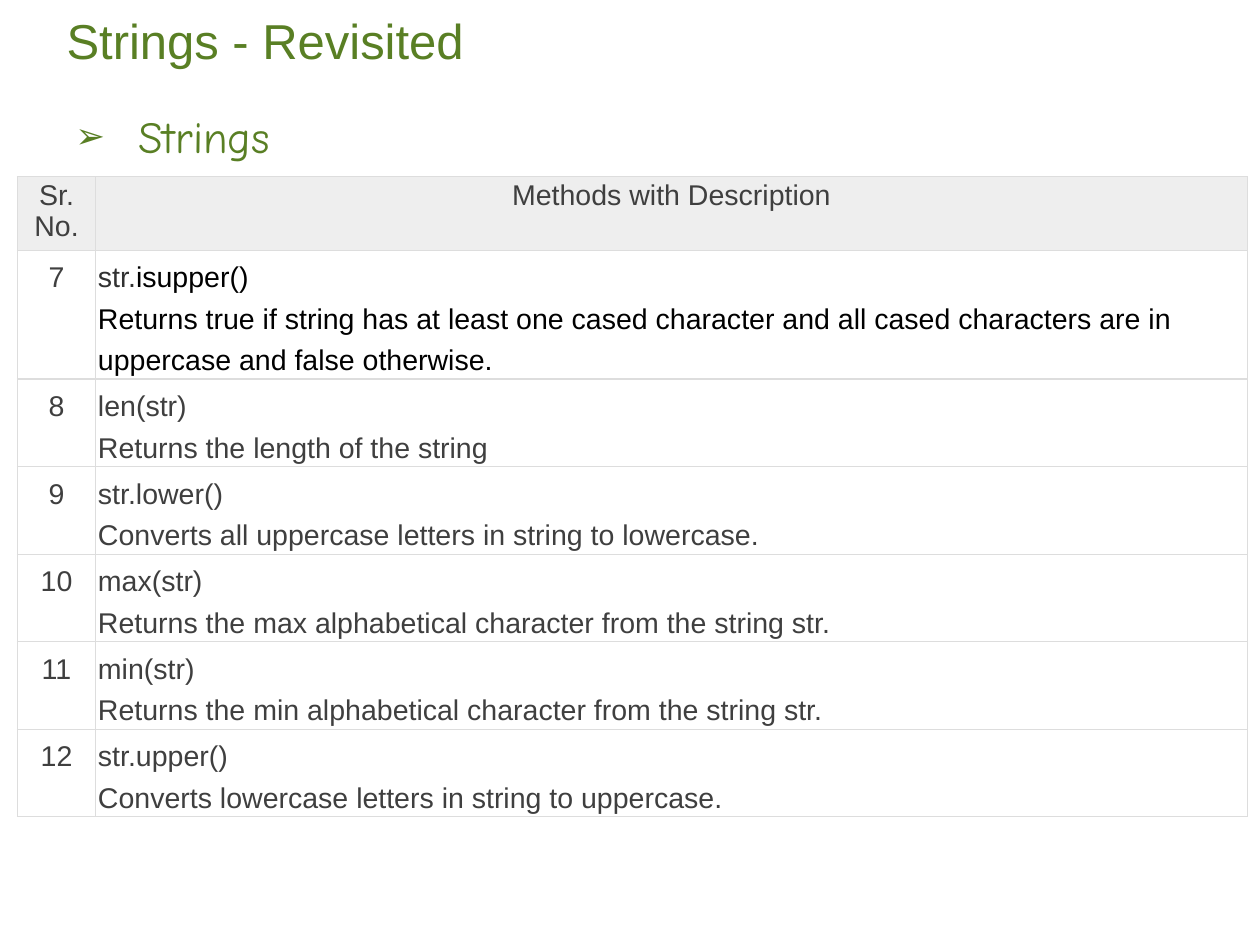
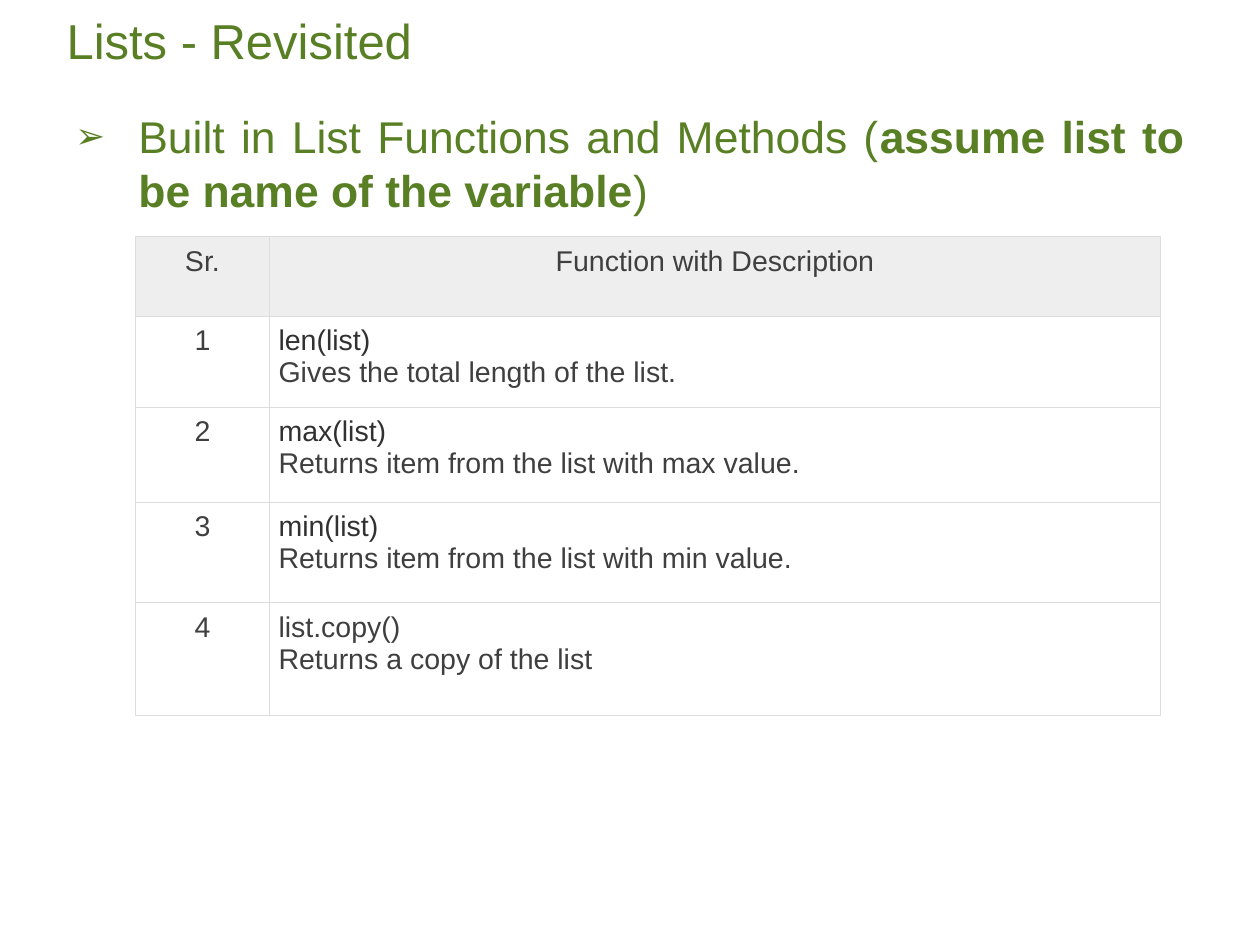
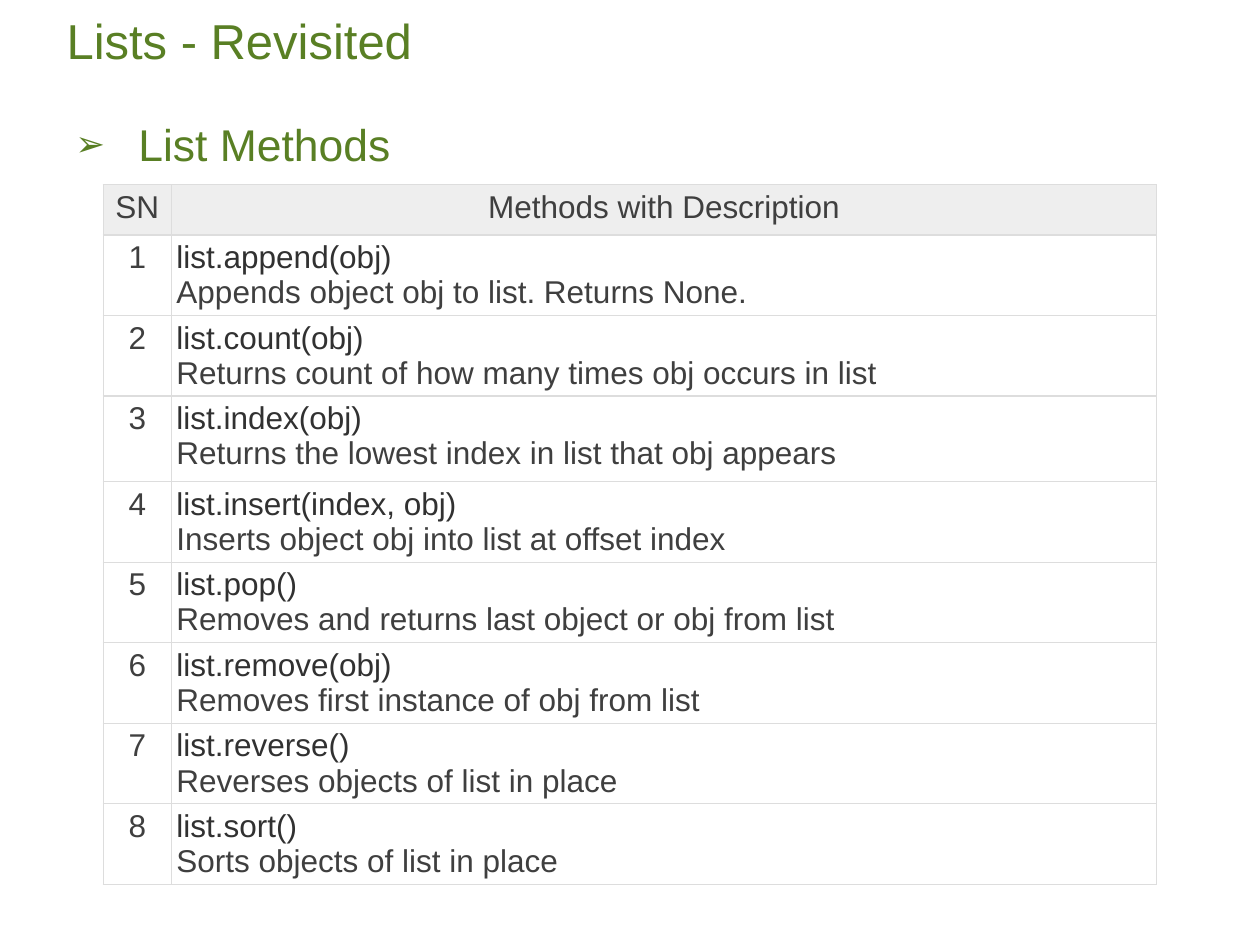
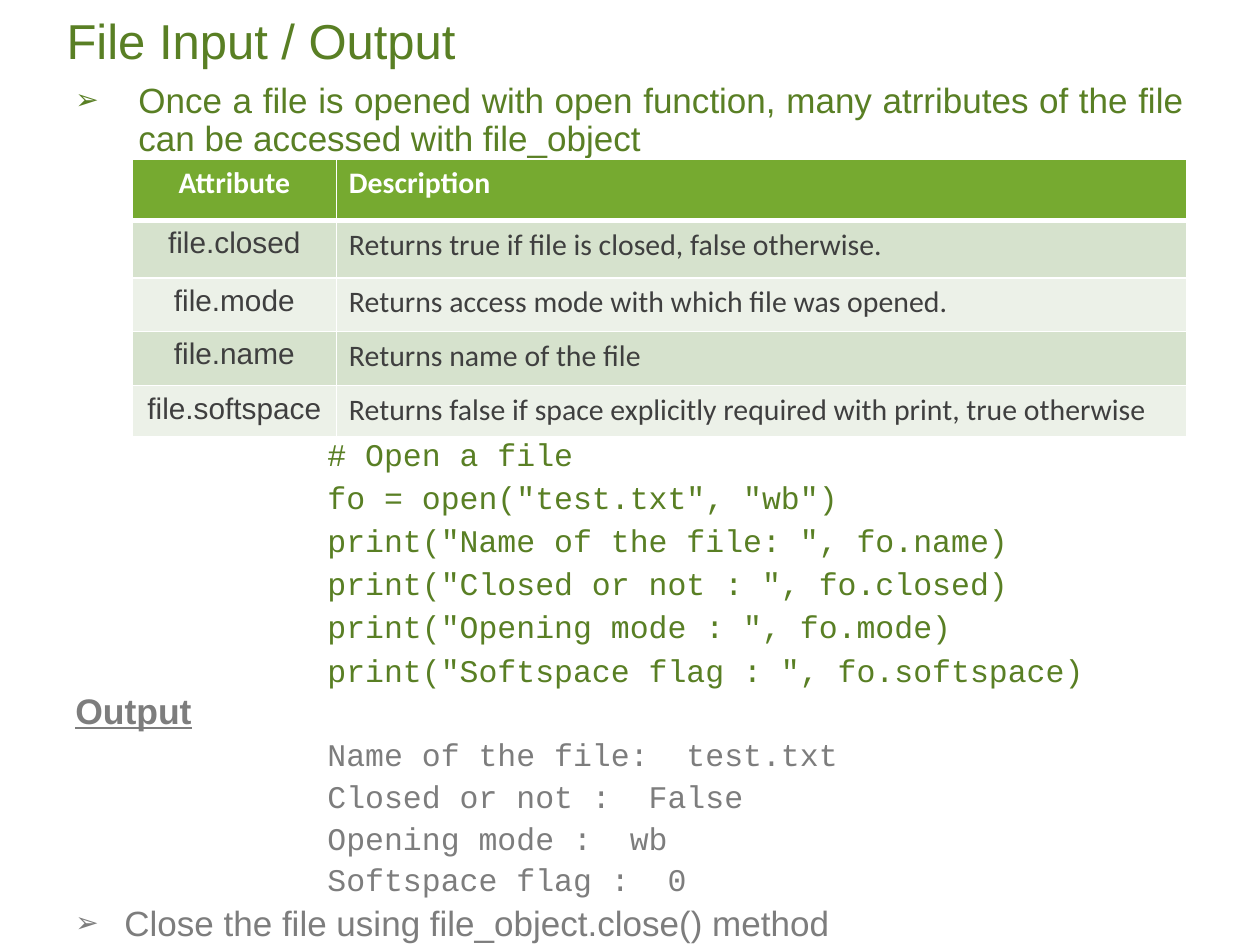
from lxml import etree
from pptx import Presentation
from pptx.dml.color import RGBColor
from pptx.enum.shapes import MSO_SHAPE
from pptx.enum.text import MSO_ANCHOR, PP_ALIGN
from pptx.oxml.ns import qn
from pptx.util import Pt

LEFT, CENTER, JUSTIFY = PP_ALIGN.LEFT, PP_ALIGN.CENTER, PP_ALIGN.JUSTIFY
TOP, BOTTOM = MSO_ANCHOR.TOP, MSO_ANCHOR.BOTTOM
RECTANGLE = MSO_SHAPE.RECTANGLE

COLORS = {
    "green": "597F24", "text": "3F3F3F", "dark": "313131", "black": "000000",
    "gray": "7D7D7D", "white": "FFFFFF", "grid": "DDDDDD", "header": "EEEEEE",
    "band_header": "76AA30", "band_odd": "D6E2CD", "band_even": "ECF1E8",
}
BODY_BOX = (36, 648, 473)  # left, width, height


def write(paragraph, text, size=18, font="Arial", color="text", bold=False,
          underline=False, align=LEFT, spacing=None, before=0, after=0,
          margin=0, hanging=0, bullet=None):
    """Fill a paragraph; text is a string or a list of (string, overrides).

    A float spacing is a multiple of the line, a Pt length is exact.
    """
    paragraph.alignment = align
    if spacing:
        paragraph.line_spacing = spacing
    paragraph.space_before, paragraph.space_after = Pt(before), Pt(after)
    props = paragraph._p.get_or_add_pPr()
    props.set("marL", str(Pt(margin)))
    props.set("indent", str(Pt(-hanging)))
    if bullet:
        etree.SubElement(props, qn("a:buSzPct"), val="80000")
        etree.SubElement(props, qn("a:buFont"), typeface="Arial")
        etree.SubElement(props, qn("a:buChar"), char=bullet)
    else:
        etree.SubElement(props, qn("a:buNone"))

    base = {"size": size, "font": font, "color": color, "bold": bold}
    for words, changes in [(text, {})] if isinstance(text, str) else text:
        look = {**base, **changes}
        run = paragraph.add_run()
        run.text = words.rstrip("\n")
        run.font.size, run.font.name = Pt(look["size"]), look["font"]
        run.font.bold, run.font.underline = look["bold"], underline
        run.font.color.rgb = RGBColor.from_string(COLORS[look["color"]])
        if words.endswith("\n"):
            paragraph.add_line_break()


def write_all(frame, paragraphs, **style):
    """Write (text, overrides) paragraphs into a text frame."""
    for index, (text, changes) in enumerate(paragraphs):
        paragraph = frame.add_paragraph() if index else frame.paragraphs[0]
        write(paragraph, text, **{**style, **changes})


def border(cell, color, **widths):
    """Draw the cell's sides, each with its own width in points."""
    props = cell._tc.get_or_add_tcPr()
    for side in "LRTB":
        line = etree.SubElement(props, qn("a:ln" + side), w=str(Pt(widths[side])))
        fill = etree.SubElement(line, qn("a:solidFill"))
        etree.SubElement(fill, qn("a:srgbClr"), val=COLORS[color])


class Deck:
    def __init__(self):
        self.prs = Presentation()
        self.prs.slide_width, self.prs.slide_height = Pt(720), Pt(540)
        self.slide = None

    def new_slide(self, title):
        self.slide = self.prs.slides.add_slide(self.prs.slide_layouts[6])
        self.veil()
        self.text_box(31, 7.5, 648, 36, [(title, {})], anchor=BOTTOM,
                      insets=(7.2, 2.9, 7.2, 3.6),
                      size=28, color="green", spacing=0.9)

    def veil(self):
        """Lay the translucent white sheet over the background."""
        sheet = self.slide.shapes.add_shape(RECTANGLE, 0, 0, Pt(720.5), Pt(540.5))
        sheet.shadow.inherit = False
        sheet.line.fill.background()
        sheet.fill.solid()
        sheet.fill.fore_color.rgb = RGBColor.from_string(COLORS["white"])
        color = sheet._element.spPr.find(qn("a:solidFill"))[0]
        etree.SubElement(color, qn("a:alpha"), val="93000")

    def text_box(self, left, top, width, height, paragraphs, anchor=TOP,
                 insets=(7.2, 3.6, 7.2, 3.6), **style):
        box = self.slide.shapes.add_textbox(Pt(left), Pt(top), Pt(width), Pt(height))
        frame = box.text_frame
        frame.word_wrap, frame.vertical_anchor = True, anchor
        (frame.margin_left, frame.margin_top,
         frame.margin_right, frame.margin_bottom) = map(Pt, insets)
        write_all(frame, paragraphs, **style)

    def body(self, top, paragraphs, **style):
        left, width, height = BODY_BOX
        self.text_box(left, top, width, height, paragraphs, **style)

    def heading(self, top, text, font="Arial"):
        self.body(top, [(text, {})], size=25.4, font=font, color="green",
                  align=JUSTIFY, margin=36, hanging=36, bullet="➢")

    def table(self, left, top, columns, heights, rows, inset, line, fills,
              header_line=None, line_width=0.75, **style):
        """rows hold cells, cells hold (text, overrides) paragraphs."""
        grid = self.slide.shapes.add_table(
            len(rows), len(columns), Pt(left), Pt(top),
            Pt(sum(columns)), Pt(sum(heights))).table
        grid.first_row = grid.horz_banding = False
        for column, width in zip(grid.columns, columns):
            column.width = Pt(width)
        for r, (cells, height) in enumerate(zip(rows, heights)):
            grid.rows[r].height = Pt(height)
            widths = dict.fromkeys("LRTB", line_width)
            if header_line and r < 2:
                widths["T" if r else "B"] = header_line
            fill = fills[0] if r == 0 else fills[1 + (r - 1) % (len(fills) - 1)]
            for c, paragraphs in enumerate(cells):
                cell = grid.cell(r, c)
                (cell.margin_left, cell.margin_top,
                 cell.margin_right, cell.margin_bottom) = map(Pt, inset)
                border(cell, line, **widths)
                if fill:
                    cell.fill.solid()
                    cell.fill.fore_color.rgb = RGBColor.from_string(COLORS[fill])
                else:
                    cell.fill.background()
                write_all(cell.text_frame, paragraphs, **style)

    def method_table(self, left, top, columns, heights, header, methods,
                     inset, size, first=1, spacing=None):
        """Numbered methods under a gray header; methods hold paragraphs."""
        rows = [[[(label, {"align": CENTER})] for label in header]]
        for number, paragraphs in enumerate(methods, first):
            rows.append([
                [(str(number), {"align": CENTER, "spacing": spacing})],
                [(text, {"spacing": spacing}) for text in paragraphs],
            ])
        self.table(left, top, columns, heights, rows, [inset] * 4, "grid",
                   ("header", None), size=size)


def broken(name, description):
    """One paragraph: a darker method name, a line break, its description."""
    return [[(name + "\n", {"color": "dark"}), (description, {})]]


def strings_slide(deck):
    deck.new_slide("Strings - Revisited")
    deck.heading(59, "Strings", font="Comic Neue")
    black = {"color": "black"}
    methods = [
        [[("str.", {"color": "dark"}), ("isupper()", black)],
         [("Returns true if string has at least one cased character and all "
           "cased characters are in uppercase and false otherwise.", black)]],
        ["len(str)", "Returns the length of the string"],
        ["str.lower()", "Converts all uppercase letters in string to lowercase."],
        ["max(str)", "Returns the max alphabetical character from the string str."],
        ["min(str)", "Returns the min alphabetical character from the string str."],
        ["str.upper()", "Converts lowercase letters in string to uppercase."],
    ]
    deck.method_table(10, 101, (44.6, 658.4), [41.8, 73.7] + [50] * 5,
                      ("Sr. No.", "Methods with Description"), methods,
                      inset=1.4, size=16.3, first=7, spacing=Pt(23.6))


def list_functions_slide(deck):
    deck.new_slide("Lists - Revisited")
    deck.heading(59, [
        ("Built in List Functions and Methods (", {}),
        ("assume list to be name of the variable", {"bold": True}),
        (")", {}),
    ])
    methods = [
        broken("len(list)", "Gives the total length of the list."),
        broken("max(list)", "Returns item from the list with max value."),
        broken("min(list)", "Returns item from the list with min value."),
        ["list.copy()", "Returns a copy of the list"],
    ]
    deck.method_table(77.2, 135.3, (77, 509), (45.5, 52, 54.3, 57.3, 64.5),
                      ("Sr.", "Function with Description"), methods,
                      inset=5, size=16.3)


def list_methods_slide(deck):
    deck.new_slide("Lists - Revisited")
    deck.heading(63.4, "List Methods")
    methods = [
        broken("list.append(obj)", "Appends object obj to list. Returns None."),
        broken("list.count(obj)", "Returns count of how many times obj occurs in list"),
        broken("list.index(obj)", "Returns the lowest index in list that obj appears"),
        broken("list.insert(index, obj)", "Inserts object obj into list at offset index"),
        broken("list.pop()", "Removes and returns last object or obj from list"),
        broken("list.remove(obj)", "Removes first instance of obj from list"),
        broken("list.reverse()", "Reverses objects of list in place"),
        broken("list.sort()", "Sorts objects of list in place"),
    ]
    deck.method_table(59, 105.5, (39, 563), [28.8, 46, 46, 49] + [46] * 5,
                      ("SN", "Methods with Description"), methods,
                      inset=2.9, size=18, spacing=Pt(20.1))


def file_slide(deck):
    deck.new_slide("File Input / Output")

    # Introduction, code, its output and the closing remark
    code = ["# Open a file",
            'fo = open("test.txt", "wb")',
            'print("Name of the file: ", fo.name)',
            'print("Closed or not : ", fo.closed)',
            'print("Opening mode : ", fo.mode)',
            'print("Softspace flag : ", fo.softspace)']
    output = ["Name of the file:  test.txt", "Closed or not :  False",
              "Opening mode :  wb", "Softspace flag :  0"]
    listing = {"font": "Courier New", "size": 18, "margin": 144}
    paragraphs = [("Once a file is opened with open function, many atrributes of "
                   "the file can be accessed with file_object",
                   {"spacing": 0.9, "align": JUSTIFY, "margin": 36,
                    "hanging": 36, "bullet": "➢"})]
    paragraphs += [(line, {**listing, "spacing": Pt(24.6), "before": 0 if i else 155})
                   for i, line in enumerate(code)]
    paragraphs.append(("Output", {"size": 20.3, "color": "gray", "bold": True,
                                  "underline": True, "spacing": Pt(24.6)}))
    paragraphs += [(line, {**listing, "color": "gray", "spacing": Pt(23.8)})
                   for line in output]
    paragraphs.append(("Close the file using file_object.close() method",
                       {"color": "gray", "spacing": Pt(26), "margin": 28,
                        "hanging": 28, "bullet": "➢"}))
    deck.body(44, paragraphs, size=20, color="green")

    # Attributes of the file object
    attributes = [
        ("file.closed", "Returns true if file is closed, false otherwise."),
        ("file.mode", "Returns access mode with which file was opened."),
        ("file.name", "Returns name of the file"),
        ("file.softspace",
         "Returns false if space explicitly required with print, true otherwise"),
    ]
    label = {"bold": True, "color": "white", "font": "Calibri"}
    rows = [[[("Attribute", {**label, "align": CENTER})], [("Description", label)]]]
    rows += [[[(name, {"align": CENTER})], [(description, {"font": "Calibri"})]]
             for name, description in attributes]
    deck.table(75.7, 91, (116.5, 486), (35, 33, 30.5, 31, 29), rows,
               (7.2, 3.6, 7.2, 3.6), "white",
               ("band_header", "band_odd", "band_even"),
               header_line=3, line_width=1, size=17)


def main():
    deck = Deck()
    strings_slide(deck)
    list_functions_slide(deck)
    list_methods_slide(deck)
    file_slide(deck)
    deck.prs.save("out.pptx")


if __name__ == "__main__":
    main()
